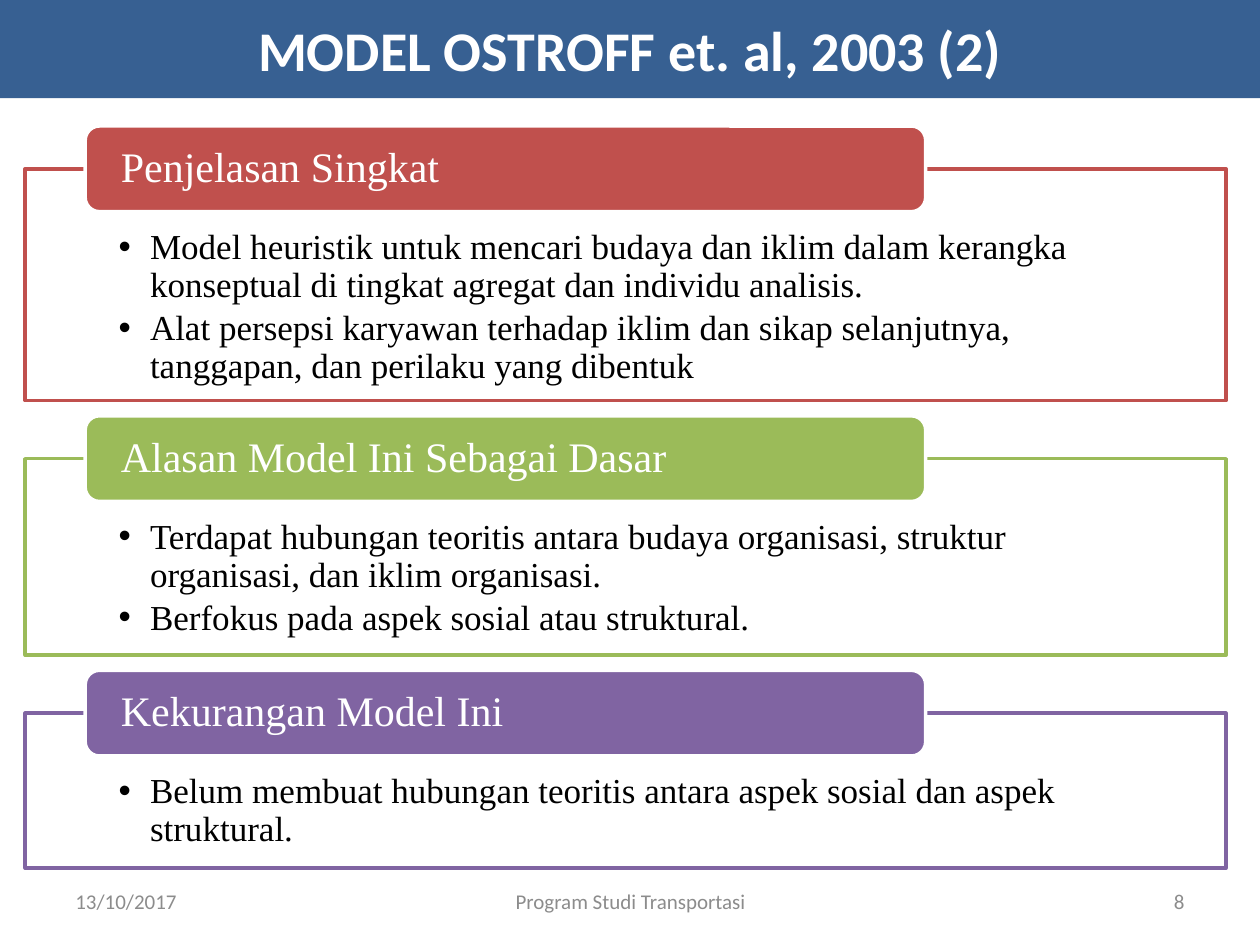
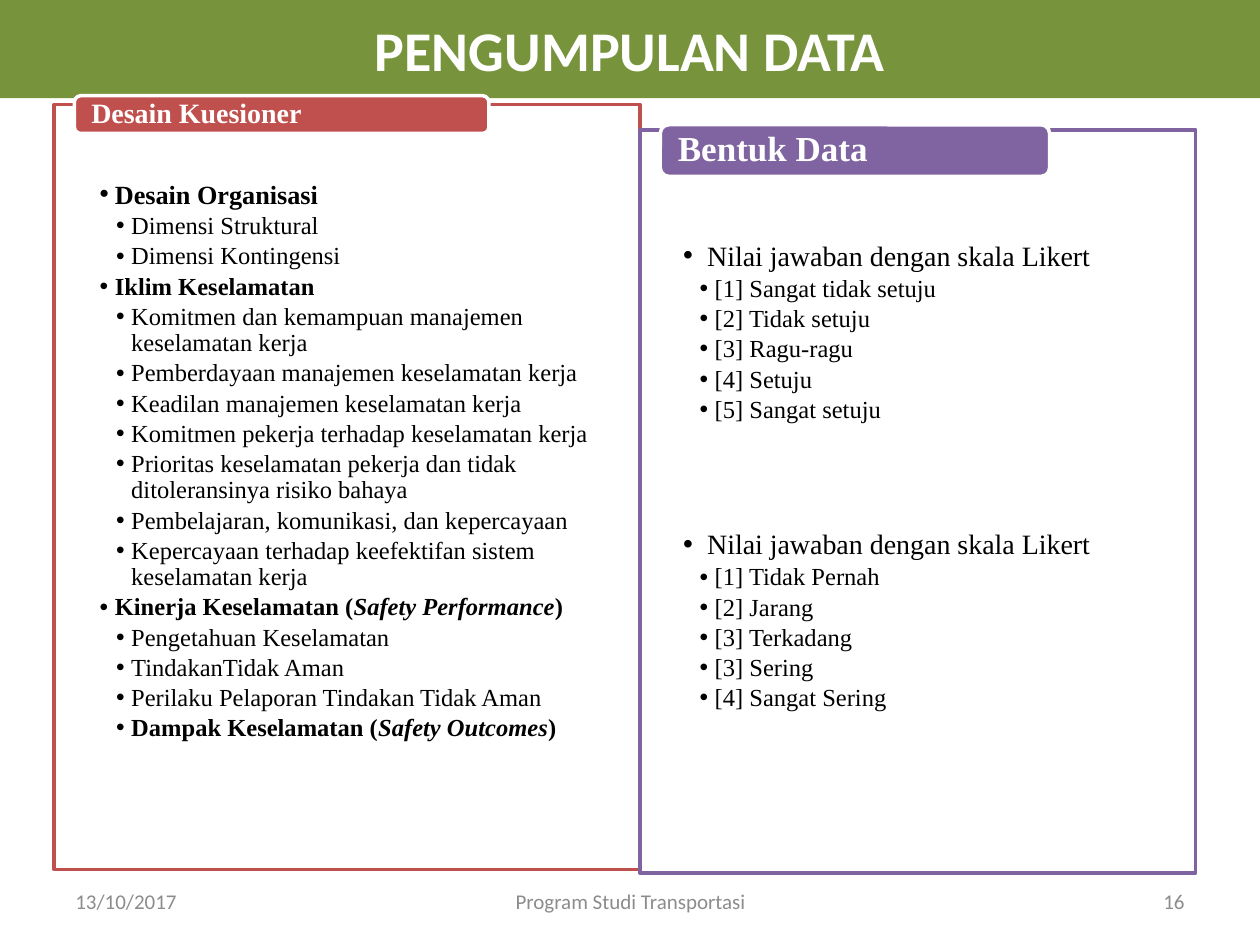
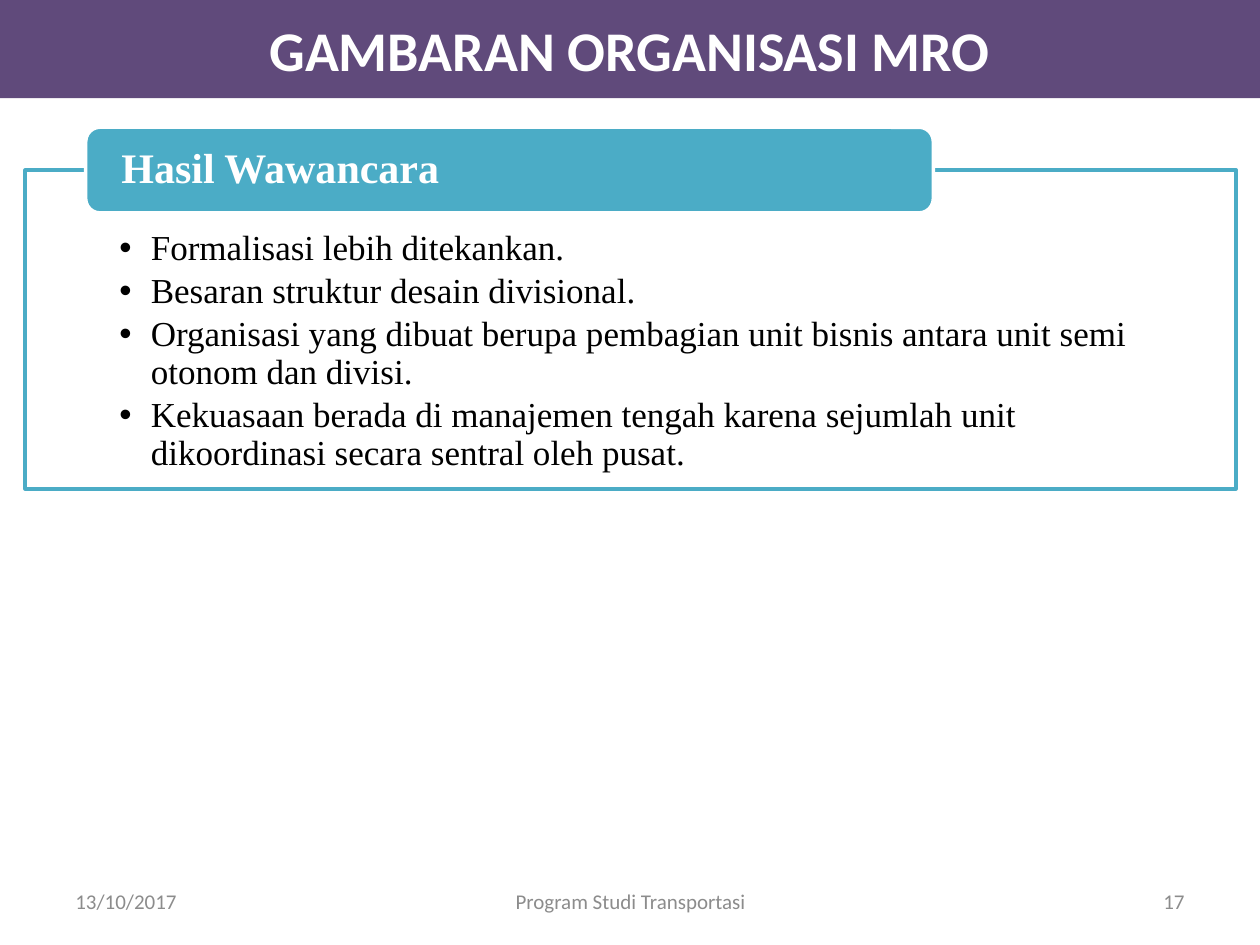
from dataclasses import dataclass

from lxml import etree
from pptx import Presentation
from pptx import util as u
from pptx.dml.color import RGBColor
from pptx.enum import shapes, text
from pptx.oxml.ns import qn


@dataclass(frozen=True)
class Theme:
    heading_font: str = "Calibri"
    body_font: str = "Times New Roman"
    white: str = "FFFFFF"
    black: str = "000000"
    grey: str = "8C8C8C"
    blue: str = "376092"
    olive: str = "77933C"
    plum: str = "604A7B"
    red: str = "C0504D"
    green: str = "9BBB59"
    purple: str = "8064A2"
    teal: str = "4BACC6"
    title_size: int = 32
    tab_size: int = 24
    list_size: int = 20
    group_size: int = 16
    topic_size: int = 15
    detail_size: int = 14
    footer_size: int = 12
    outline: int = 2


THEME = Theme()
BAND_HEIGHT = 0.78
STACK_GAP = 0.46
TAB_HEIGHT = 0.68
TAB_SHARE = 0.7
PAD_SHARE = 0.0777
LAYOUT_BY_PANELS = {1: 1, 2: 3, 3: 4}
FOOTER_TOP, FOOTER_HEIGHT = 6.95, 0.4
DATE, PROGRAMME = "13/10/2017", "Program Studi Transportasi"


@dataclass(frozen=True)
class Item:
    words: str
    size: int = THEME.list_size
    bold: bool = False
    level: int = 1
    indent: float = 0.25
    hanging: float = 0.25
    before: int = 0


def topic(words, size=THEME.detail_size):
    return Item(words, size, True, 1, 0.12, 0.12)


def detail(words, bold=False):
    return Item(words, THEME.detail_size, bold, 2, 0.25, 0.12)


def scale(answers, before=0):
    question = Item("Nilai jawaban dengan skala Likert", THEME.group_size,
                    indent=0.19, hanging=0.19, before=before)
    return [question] + [detail(answer) for answer in answers]


def stacked(top, width, panels, bold=False):
    placed = []
    for heading, color, height, points in panels:
        placed.append({
            "heading": heading, "color": color, "bold": bold,
            "size": THEME.tab_size, "tab_pad": 0.25,
            "frame": (0.2, top, width, height), "pad": (0.48, 0.16),
            "tab": (0.2 + width * 0.05, top - TAB_HEIGHT / 2,
                    width * TAB_SHARE, TAB_HEIGHT),
            "items": [Item(point) for point in points],
        })
        top += height + STACK_GAP
    return placed


QUESTIONNAIRE = [
    topic("Desain Organisasi", THEME.topic_size),
    detail("Dimensi Struktural"),
    detail("Dimensi Kontingensi"),
    topic("Iklim Keselamatan"),
    detail("Komitmen dan kemampuan manajemen keselamatan kerja"),
    detail("Pemberdayaan manajemen keselamatan kerja"),
    detail("Keadilan manajemen keselamatan kerja"),
    detail("Komitmen pekerja terhadap keselamatan kerja"),
    detail("Prioritas keselamatan pekerja dan tidak ditoleransinya risiko bahaya"),
    detail("Pembelajaran, komunikasi, dan kepercayaan"),
    detail("Kepercayaan terhadap keefektifan sistem keselamatan kerja"),
    topic("Kinerja Keselamatan (*Safety Performance*)"),
    detail("Pengetahuan Keselamatan"),
    detail("TindakanTidak Aman"),
    detail("Perilaku Pelaporan Tindakan Tidak Aman"),
    detail("Dampak Keselamatan (*Safety Outcomes*)", True),
]

ANSWERS = scale(["[1] Sangat tidak setuju", "[2] Tidak setuju", "[3] Ragu-ragu",
                 "[4] Setuju", "[5] Sangat setuju"]) + scale(
    ["[1] Tidak Pernah", "[2] Jarang", "[3] Terkadang", "[3] Sering",
     "[4] Sangat Sering"], before=59)

SLIDES = [
    ("MODEL OSTROFF et. al, 2003 (2)", THEME.blue, 8, stacked(1.34, 9.53, [
        ("Penjelasan Singkat", THEME.red, 1.84, [
            "Model heuristik untuk mencari budaya dan iklim dalam kerangka "
            "konseptual di tingkat agregat dan individu analisis.",
            "Alat persepsi karyawan terhadap iklim dan sikap selanjutnya, "
            "tanggapan, dan perilaku yang dibentuk"]),
        ("Alasan Model Ini Sebagai Dasar", THEME.green, 1.56, [
            "Terdapat hubungan teoritis antara budaya organisasi, struktur "
            "organisasi, dan iklim organisasi.",
            "Berfokus pada aspek sosial atau struktural."]),
        ("Kekurangan Model Ini", THEME.purple, 1.23, [
            "Belum membuat hubungan teoritis antara aspek sosial dan aspek "
            "struktural."]),
    ])),
    ("PENGUMPULAN DATA", THEME.olive, 16, [
        {"heading": "Desain Kuesioner", "color": THEME.red, "bold": True,
         "size": THEME.group_size, "tab_pad": 0.12,
         "frame": (0.43, 0.83, 4.65, 6.07), "pad": (0.61, 0.12),
         "tab": (0.59, 0.76, 3.29, 0.3), "items": QUESTIONNAIRE},
        {"heading": "Bentuk Data", "color": THEME.purple, "bold": True,
         "size": THEME.list_size, "tab_pad": 0.12,
         "frame": (5.08, 1.03, 4.41, 5.9), "pad": (0.89, 0.12),
         "tab": (5.24, 0.99, 3.09, 0.41), "items": ANSWERS},
    ]),
    ("GAMBARAN ORGANISASI MRO", THEME.plum, 17, stacked(1.35, 9.61, [
        ("Hasil Wawancara", THEME.teal, 2.53, [
            "Formalisasi lebih ditekankan.",
            "Besaran struktur desain divisional.",
            "Organisasi yang dibuat berupa pembagian unit bisnis antara unit "
            "semi otonom dan divisi.",
            "Kekuasaan berada di manajemen tengah karena sejumlah unit "
            "dikoordinasi secara sentral oleh pusat."]),
    ], bold=True)),
]


def place(shape, box):
    shape.left, shape.top, shape.width, shape.height = map(u.Inches, box)


def paint(shape, fill, line=None):
    shape.fill.solid()
    shape.fill.fore_color.rgb = RGBColor.from_string(fill)
    if line:
        shape.line.color.rgb = RGBColor.from_string(line)
        shape.line.width = u.Pt(THEME.outline)


def style(paragraph, font, size, color, bold=False, align=text.PP_ALIGN.LEFT):
    paragraph.font.name = font
    paragraph.font.size = u.Pt(size)
    paragraph.font.bold = bold
    paragraph.font.color.rgb = RGBColor.from_string(color)
    paragraph.alignment = align


def set_frame(shape, anchor, insets=(0.1, 0.05, 0.1, 0.05)):
    frame = shape.text_frame
    frame.word_wrap = True
    frame.auto_size = text.MSO_AUTO_SIZE.NONE
    frame.vertical_anchor = anchor
    (frame.margin_left, frame.margin_top,
     frame.margin_right, frame.margin_bottom) = map(u.Inches, insets)
    return frame


def add_item(paragraph, item):
    for position, part in enumerate(item.words.split("*")):
        run = paragraph.add_run()
        run.text = part
        if position % 2:
            run.font.italic = True
    paragraph.level = item.level
    paragraph.line_spacing = 0.9
    paragraph.space_before = u.Pt(item.before)
    paragraph.space_after = u.Pt(round(item.size * 0.15, 1))
    properties = paragraph._p.get_or_add_pPr()
    properties.set("marL", str(u.Inches(item.indent)))
    properties.set("indent", str(-u.Inches(item.hanging)))
    etree.SubElement(properties, qn("a:buFont"), typeface="Arial")
    etree.SubElement(properties, qn("a:buChar"), char="•")
    style(paragraph, THEME.body_font, item.size, THEME.black, item.bold)


def fill_panel(body, panel):
    place(body, panel["frame"])
    paint(body, THEME.white, panel["color"])
    tint = body.fill._xPr.find(qn("a:solidFill"))[0]
    etree.SubElement(tint, qn("a:alpha"), val="90000")
    side = panel["frame"][2] * PAD_SHARE
    above, below = panel["pad"]
    frame = set_frame(body, text.MSO_ANCHOR.TOP, (side, above, side, below))
    for position, item in enumerate(panel["items"]):
        add_item(frame.add_paragraph() if position else frame.paragraphs[0], item)


def add_tab(slide, panel):
    tab = slide.shapes.add_shape(shapes.MSO_SHAPE.ROUNDED_RECTANGLE,
                                 *map(u.Inches, panel["tab"]))
    tab.shadow.inherit = False
    paint(tab, panel["color"], THEME.white)
    frame = set_frame(tab, text.MSO_ANCHOR.MIDDLE,
                      (panel["tab_pad"], 0, panel["tab_pad"], 0))
    heading = frame.paragraphs[0]
    heading.text = panel["heading"]
    heading.line_spacing = 0.9
    style(heading, THEME.body_font, panel["size"], THEME.white, panel["bold"])


def add_title(slide, words, color):
    band = slide.shapes.title
    place(band, (0, 0, 10, BAND_HEIGHT))
    paint(band, color)
    title = set_frame(band, text.MSO_ANCHOR.MIDDLE).paragraphs[0]
    title.text = words
    style(title, THEME.heading_font, THEME.title_size, THEME.white, True,
          text.PP_ALIGN.CENTER)


def add_footer(slide, number):
    for words, left, width, align in (
            (DATE, 0.5, 2.33, text.PP_ALIGN.LEFT),
            (PROGRAMME, 3.42, 3.17, text.PP_ALIGN.CENTER),
            (str(number), 7.17, 2.33, text.PP_ALIGN.RIGHT)):
        box = slide.shapes.add_textbox(
            *map(u.Inches, (left, FOOTER_TOP, width, FOOTER_HEIGHT)))
        note = set_frame(box, text.MSO_ANCHOR.MIDDLE).paragraphs[0]
        note.text = words
        style(note, THEME.heading_font, THEME.footer_size, THEME.grey, align=align)


def main():
    deck = Presentation()
    deck.slide_width, deck.slide_height = u.Inches(10), u.Inches(7.5)
    for title, color, number, panels in SLIDES:
        slide = deck.slides.add_slide(
            deck.slide_layouts[LAYOUT_BY_PANELS[len(panels)]])
        add_title(slide, title, color)
        bodies = list(slide.placeholders)[1:]
        for body, panel in zip(bodies, panels):
            fill_panel(body, panel)
            add_tab(slide, panel)
        for spare in bodies[len(panels):]:
            spare.element.getparent().remove(spare.element)
        add_footer(slide, number)
    deck.save("out.pptx")


if __name__ == "__main__":
    main()
